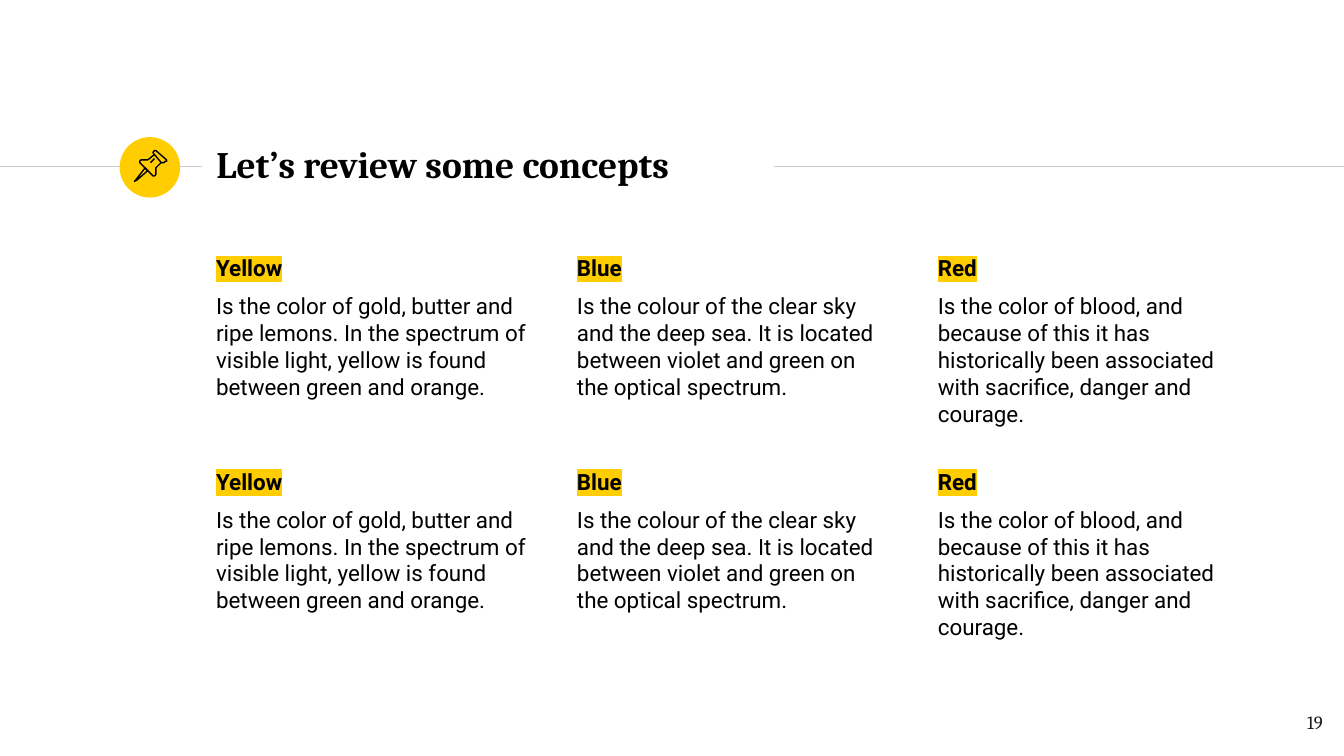
import pptx
import pptx.dml.color
import pptx.enum.shapes
import pptx.enum.text
import pptx.util
from lxml import etree
from pptx.oxml.ns import qn
from pptx.util import Inches


def color(value):
    return pptx.dml.color.RGBColor.from_string(value)


class SlideBuilder:
    heading_font = "Cambria"
    body_font = "Roboto"
    black = "000000"
    yellow = "FFCD00"
    gray = "CCCCCC"
    number_color = "1D1D1B"

    def __init__(self, slide):
        self.slide = slide

    def format_font(self, paragraph, name, size, value, bold=False):
        paragraph.font.name = name
        paragraph.font.size = pptx.util.Pt(size)
        paragraph.font.bold = bold
        paragraph.font.color.rgb = color(value)

    def set_margins(self, frame):
        frame.word_wrap = True
        frame.auto_size = pptx.enum.text.MSO_AUTO_SIZE.NONE
        frame.margin_left = frame.margin_right = Inches(0.1)
        frame.margin_top = frame.margin_bottom = Inches(0.1)

    def title(self, text, left, top, width, height):
        shape = self.slide.shapes.title
        shape.left, shape.top = Inches(left), Inches(top)
        shape.width, shape.height = Inches(width), Inches(height)
        frame = shape.text_frame
        self.set_margins(frame)
        frame.vertical_anchor = pptx.enum.text.MSO_ANCHOR.MIDDLE
        frame.text = text
        paragraph = frame.paragraphs[0]
        paragraph.alignment = pptx.enum.text.PP_ALIGN.LEFT
        self.format_font(paragraph, self.heading_font, 20, self.black, True)

    def text_box(self, left, top, width, height):
        shape = self.slide.shapes.add_textbox(
            Inches(left), Inches(top), Inches(width), Inches(height))
        self.set_margins(shape.text_frame)
        return shape.text_frame

    def concept(self, heading, description, left, top):
        frame = self.text_box(left, top, 2.54, 1.32)
        paragraph = frame.paragraphs[0]
        run = paragraph.add_run()
        run.text = heading
        self.format_font(paragraph, self.body_font, 12, self.black, True)
        highlight = etree.SubElement(run.font._element, qn("a:highlight"))
        etree.SubElement(highlight, qn("a:srgbClr"), val=self.yellow)
        paragraph = frame.add_paragraph()
        paragraph.text = description
        paragraph.space_before = pptx.util.Pt(6)
        self.format_font(paragraph, self.body_font, 12, self.black)

    def page_number(self, text, left, top, width, height):
        paragraph = self.text_box(left, top, width, height).paragraphs[0]
        paragraph.text = text
        paragraph.alignment = pptx.enum.text.PP_ALIGN.RIGHT
        self.format_font(paragraph, self.heading_font, 10, self.number_color)

    def rule(self, start, end, top):
        connector = self.slide.shapes.add_connector(
            pptx.enum.shapes.MSO_CONNECTOR.STRAIGHT,
            Inches(start), Inches(top), Inches(end), Inches(top))
        connector.line.color.rgb = color(self.gray)
        connector.line.width = pptx.util.Pt(0.75)
        etree.SubElement(connector._element.spPr, qn("a:effectLst"))

    def circle(self, left, top, diameter):
        shape = self.slide.shapes.add_shape(
            pptx.enum.shapes.MSO_SHAPE.OVAL,
            Inches(left), Inches(top), Inches(diameter), Inches(diameter))
        shape.shadow.inherit = False
        shape.fill.solid()
        shape.fill.fore_color.rgb = color(self.yellow)
        shape.line.fill.background()

    def icon(self, outlines):
        group = self.slide.shapes.add_group_shape()
        for points, closed in outlines:
            start, *rest = [(Inches(x), Inches(y)) for x, y in points]
            builder = group.shapes.build_freeform(*start)
            builder.add_line_segments(rest, close=closed)
            shape = builder.convert_to_shape()
            shape.shadow.inherit = False
            shape.fill.background()
            shape.line.color.rgb = color(self.black)
            shape.line.width = pptx.util.Pt(0.75)


PIN_NEEDLE = [(1.08, 1.25), (1.01, 1.34), (1, 1.35), (1.02, 1.34), (1.1, 1.27)]
PIN_HEAD = [(1.15, 1.15), (1.2, 1.21), (1.22, 1.21), (1.23, 1.2), (1.24, 1.2),
            (1.24, 1.19), (1.16, 1.12), (1.15, 1.12), (1.14, 1.13), (1.14, 1.14)]
PIN_BODY = [(1.15, 1.15), (1.1, 1.19), (1.07, 1.19), (1.05, 1.19), (1.04, 1.2),
            (1.04, 1.21), (1.14, 1.31), (1.15, 1.31), (1.16, 1.3), (1.16, 1.28),
            (1.16, 1.25), (1.2, 1.21)]
PIN_SHINE = [(1.12, 1.21), (1.15, 1.18)]

CONCEPTS = [
    ("Yellow", "Is the color of gold, butter and ripe lemons. In the spectrum of "
               "visible light, yellow is found between green and orange."),
    ("Blue", "Is the colour of the clear sky and the deep sea. It is located "
             "between violet and green on the optical spectrum."),
    ("Red", "Is the color of blood, and because of this it has historically been "
            "associated with sacrifice, danger and courage."),
]
FIRST_LEFT, LAST_LEFT = 1.51, 6.88
COLUMN_STEP = (LAST_LEFT - FIRST_LEFT) / (len(CONCEPTS) - 1)


def main():
    presentation = pptx.Presentation()
    presentation.slide_width = Inches(10)
    presentation.slide_height = presentation.slide_width * 9 // 16
    slide = presentation.slides.add_slide(presentation.slide_layouts[5])
    builder = SlideBuilder(slide)

    builder.rule(0, 1.5, 1.24)
    builder.circle(0.89, 1.02, 0.45)
    builder.rule(5.76, 10, 1.24)
    builder.title("Let’s review some concepts", 1.51, 0.98, 4.24, 0.48)
    builder.icon([(PIN_NEEDLE, True), (PIN_HEAD, True),
                  (PIN_BODY, False), (PIN_SHINE, False)])
    for top in (1.79, 3.38):
        for column, (heading, description) in enumerate(CONCEPTS):
            builder.concept(heading, description,
                            FIRST_LEFT + COLUMN_STEP * column, top)
    builder.page_number("19", 9.34, 5.19, 0.6, 0.43)

    presentation.save("out.pptx")


if __name__ == "__main__":
    main()
